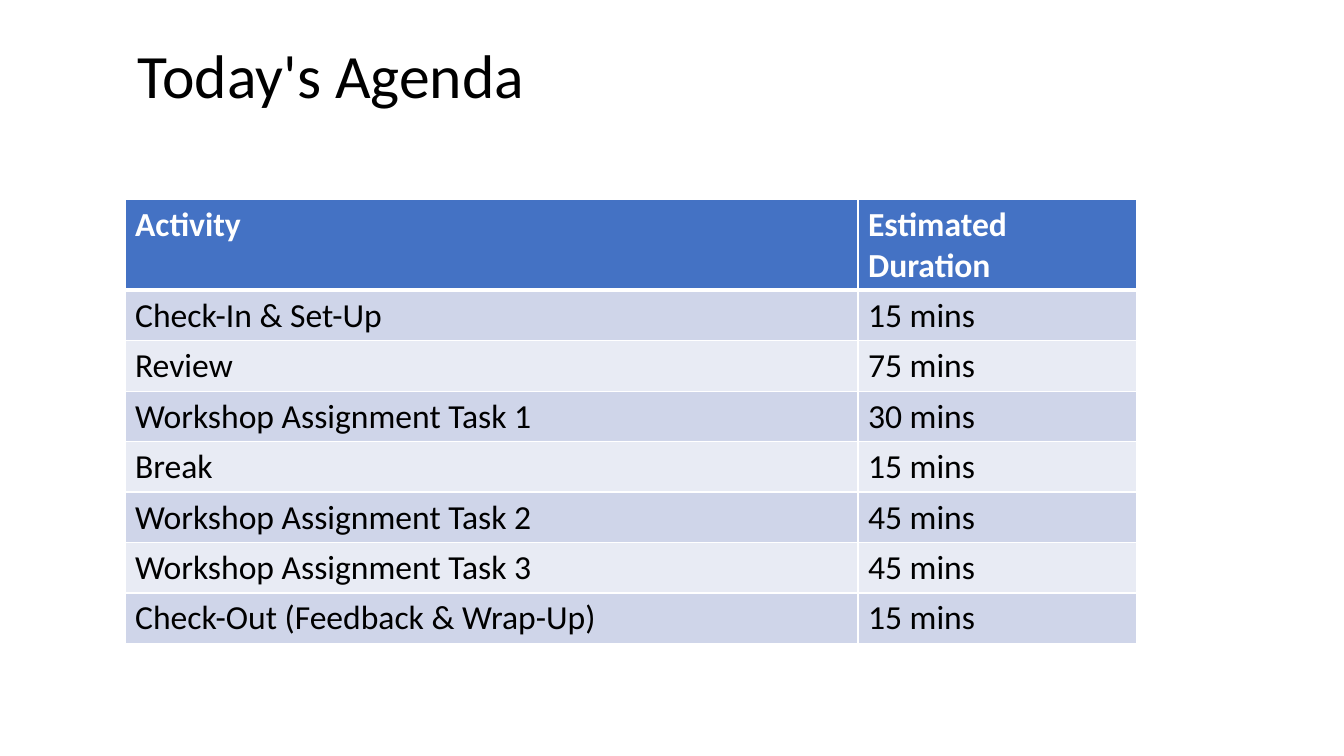
from lxml import etree
from pptx import Presentation
from pptx import util as u
from pptx.dml.color import RGBColor
from pptx.enum import text
from pptx.oxml import ns

BLACK = RGBColor(0x00, 0x00, 0x00)
WHITE = RGBColor(0xFF, 0xFF, 0xFF)
BLUE = RGBColor(0x44, 0x72, 0xC4)
DARK = RGBColor(0xCF, 0xD5, 0xE9)
LIGHT = RGBColor(0xE8, 0xEB, 0xF4)

AGENDA = [
    ("Activity", "Estimated Duration"),
    ("Check-In & Set-Up", "15 mins"),
    ("Review", "75 mins"),
    ("Workshop Assignment Task 1", "30 mins"),
    ("Break", "15 mins"),
    ("Workshop Assignment Task 2", "45 mins"),
    ("Workshop Assignment Task 3", "45 mins"),
    ("Check-Out (Feedback & Wrap-Up)", "15 mins"),
]


class Deck:
    """Holds the agenda's style and the slide being filled."""

    face = "Calibri"
    thin, thick = 0.96, 3

    def __init__(self, slide):
        self.slide = slide

    def style(self, para, size, color, bold=False):
        font = para.font
        font.name, font.size, font.bold = self.face, u.Pt(size), bold
        font.color.rgb = color

    def title(self, words, box):
        frame = self.slide.shapes.add_textbox(*map(u.Inches, box)).text_frame
        frame.word_wrap = True
        frame.vertical_anchor = text.MSO_ANCHOR.MIDDLE
        para = frame.paragraphs[0]
        para.text = words
        para.line_spacing = 0.9
        self.style(para, 44, BLACK)

    def border(self, cell, side, width):
        props = cell._tc.get_or_add_tcPr()
        line = etree.SubElement(props, ns.qn(f"a:ln{side}"), w=str(u.Pt(width)))
        fill = etree.SubElement(line, ns.qn("a:solidFill"))
        etree.SubElement(fill, ns.qn("a:srgbClr"), val=str(WHITE))

    def cell(self, cell, words, row):
        head = row == 0
        cell.text = words
        self.style(cell.text_frame.paragraphs[0], 24, WHITE if head else BLACK, head)
        for side in "LRTB":
            rule = (row, side) in ((0, "B"), (1, "T"))
            self.border(cell, side, self.thick if rule else self.thin)
        cell.fill.solid()
        cell.fill.fore_color.rgb = BLUE if head else DARK if row % 2 else LIGHT

    def table(self, rows, box, widths, tall, high):
        grid = self.slide.shapes.add_table(
            len(rows), len(widths), *map(u.Inches, box)).table
        for col, width in zip(grid.columns, widths):
            col.width = u.Inches(width)
        for r, words in enumerate(rows):
            grid.rows[r].height = u.Inches(high if r else tall)
            for c, word in enumerate(words):
                self.cell(grid.cell(r, c), word, r)


def main():
    show = Presentation()
    show.slide_width, show.slide_height = u.Inches(13.33), u.Inches(7.5)
    deck = Deck(show.slides.add_slide(show.slide_layouts[6]))
    deck.title("Today's Agenda", (1.27, 0.05, 10.73, 1.45))
    deck.table(AGENDA, (1.24, 1.98, 10.03, 4.22), (7.27, 2.76), 0.77, 0.49)
    show.save("out.pptx")


if __name__ == "__main__":
    main()
